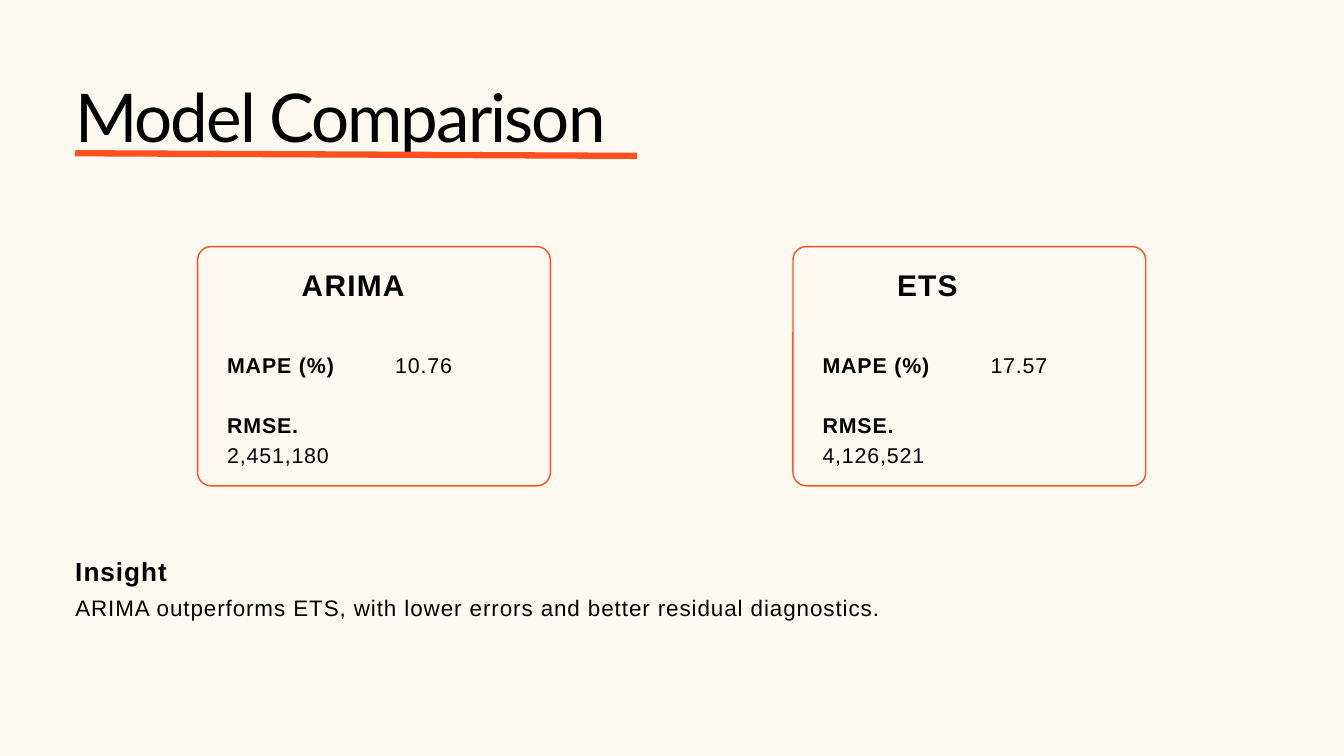
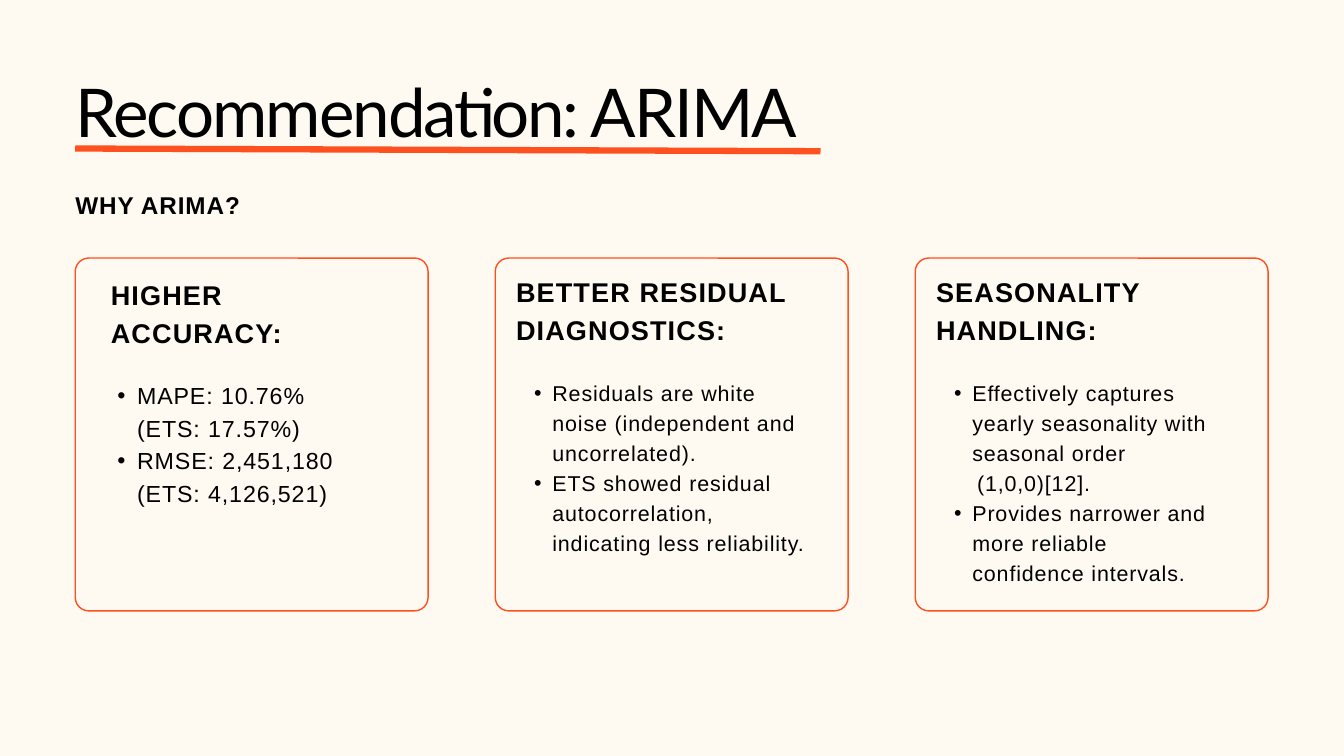
from pptx import Presentation
from pptx.dml.color import RGBColor
from pptx.enum.shapes import MSO_CONNECTOR, MSO_SHAPE
from pptx.oxml.ns import qn
from pptx.util import Inches, Pt
from lxml.etree import SubElement

CREAM, ORANGE, BLACK = "FEF9F1", "FF5020", "000000"
LEFT = 1.12
CARD_WIDTH = 5.25
CORNER = 0.2


def color(code):
    return RGBColor.from_string(code)


def new_slide(deck):
    slide = deck.slides.add_slide(deck.slide_layouts[6])
    slide.background.fill.solid()
    slide.background.fill.fore_color.rgb = color(CREAM)
    return slide


def style_paragraph(paragraph, size, leading, bold=False, spacing=0.0, font="Arial"):
    paragraph.line_spacing = Pt(leading)
    for run in paragraph.runs:
        run.font.size = Pt(size)
        run.font.name = font
        run.font.bold = bold
        run.font.color.rgb = color(BLACK)
        run.font._element.set("spc", str(round(spacing * 100)))


def add_text(slide, box, lines, size, leading, **style):
    """Write one paragraph per line and return the paragraphs."""
    frame = slide.shapes.add_textbox(*map(Inches, box)).text_frame
    frame.word_wrap = True
    frame.margin_left = frame.margin_right = 0
    frame.margin_top = frame.margin_bottom = 0
    frame.text = "\n".join(lines)
    for paragraph in frame.paragraphs:
        style_paragraph(paragraph, size, leading, **style)
    return frame.paragraphs


def add_bullet(paragraph, indent):
    props = paragraph._p.get_or_add_pPr()
    props.set("marL", str(Inches(indent)))
    props.set("indent", str(-Inches(indent / 2)))
    SubElement(props, qn("a:buFont"), typeface="Arial")
    SubElement(props, qn("a:buChar"), char="•")


def add_title(slide, top, title, width, rule_end):
    add_text(slide, (LEFT, top, width, 1.2), [title], 72, 86.4,
             spacing=-2.1, font="Lato")
    # Slightly slanted underline
    underline = slide.shapes.add_connector(
        MSO_CONNECTOR.STRAIGHT, Inches(LEFT), Inches(top + 1.16),
        Inches(rule_end), Inches(top + 1.2))
    underline.line.color.rgb = color(ORANGE)
    underline.line.width = Pt(6.75)
    SubElement(underline._element.spPr, qn("a:effectLst"))


def add_card(slide, left, top, height):
    card = slide.shapes.add_shape(
        MSO_SHAPE.ROUNDED_RECTANGLE,
        *map(Inches, (left, top, CARD_WIDTH, height)))
    card.adjustments[0] = CORNER / min(CARD_WIDTH, height)
    card.shadow.inherit = False
    card.fill.solid()
    card.fill.fore_color.rgb = color(CREAM)
    card.line.color.rgb = color(ORANGE)
    card.line.width = Pt(1.5)


def add_model_card(slide, left, top, model, mape, rmse):
    add_card(slide, left, top, 3.56)
    add_text(slide, (left + 1.55, top + 0.21, 1.81, 0.64), [model],
             32, 44.8, bold=True, spacing=1.3)
    mape_line, rmse_label, rmse_value = add_text(
        slide, (left + 0.44, top + 1.51, 4.03, 1.81),
        ["MAPE (%)", "RMSE.", rmse], 22.9, 32, bold=True, spacing=0.9)
    rmse_label.space_before = Pt(32)
    rmse_value.runs[0].font.bold = False
    # Value on the same line, set off by a tab stop
    mape_line.add_run().text = "\t" + mape
    style_paragraph(mape_line, 22.9, 32, bold=True, spacing=0.9)
    mape_line.runs[1].font.bold = False
    tabs = SubElement(mape_line._p.get_or_add_pPr(), qn("a:tabLst"))
    SubElement(tabs, qn("a:tab"), pos=str(Inches(2.5)), algn="l")


def add_reason_card(slide, left, top, heading, points, heading_box, points_box,
                    size, leading, spacing, indent):
    add_card(slide, left, top, CARD_WIDTH)
    for_card = lambda box: (left + box[0], top + box[1], *box[2:])
    add_text(slide, for_card(heading_box), [heading], 29, 40.6,
             bold=True, spacing=1.2)
    paragraphs = add_text(slide, for_card(points_box), points, size, leading,
                          spacing=spacing)
    for paragraph in paragraphs:
        if paragraph.text.startswith("("):  # continues the point above
            paragraph._p.get_or_add_pPr().set("marL", str(Inches(0.61)))
        else:
            add_bullet(paragraph, indent)


def build_comparison(deck):
    slide = new_slide(deck)
    add_title(slide, 1.12, "Model Comparison", 8.88, 9.48)
    models = [("ARIMA", "10.76", "2,451,180"), ("ETS", "17.57", "4,126,521")]
    for i, model in enumerate(models):
        add_model_card(slide, 2.94 + i * 8.86, 3.67, *model)
    # Insight
    add_text(slide, (LEFT, 8.18, 4.24, 0.57), ["Insight"], 28, 39.2,
             bold=True, spacing=1.1)
    add_text(slide, (LEFT, 8.78, 12.01, 0.43),
             ["ARIMA outperforms ETS, with lower errors and better residual diagnostics."],
             24, 33.6, spacing=1)


def build_recommendation(deck):
    slide = new_slide(deck)
    add_title(slide, 1.05, "Recommendation: ARIMA", 11.89, 12.21)
    add_text(slide, (LEFT, 2.76, 5.32, 0.52), ["WHY ARIMA?"], 26, 36.4,
             bold=True, spacing=1)
    large = dict(heading_box=(0.53, 0.22, 3.63, 1.19), points_box=(0.33, 1.77, 4.03, 2.43),
                 size=24.9, leading=34.8, spacing=1, indent=0.59)
    regular = dict(heading_box=(0.31, 0.18, 4.3, 1.19), points_box=(0.31, 1.75, 4.3, 3.5),
                   size=23, leading=32.2, spacing=0.9, indent=0.54)
    reasons = [
        ("HIGHER ACCURACY:",
         ["MAPE: 10.76% (ETS: 17.57%)", "RMSE: 2,451,180 (ETS: 4,126,521)"], large),
        ("BETTER RESIDUAL DIAGNOSTICS:",
         ["Residuals are white noise (independent and uncorrelated).",
          "ETS showed residual autocorrelation, indicating less reliability."], regular),
        ("SEASONALITY HANDLING:",
         ["Effectively captures yearly seasonality with seasonal order",
          "(1,0,0)[12].",
          "Provides narrower and more reliable confidence intervals."], regular),
    ]
    for i, (heading, points, layout) in enumerate(reasons):
        add_reason_card(slide, LEFT + i * 6.25, 3.84, heading, points, **layout)


def main():
    deck = Presentation()
    deck.slide_width, deck.slide_height = Inches(20), Inches(11.25)
    build_comparison(deck)
    build_recommendation(deck)
    deck.save("out.pptx")


if __name__ == "__main__":
    main()
